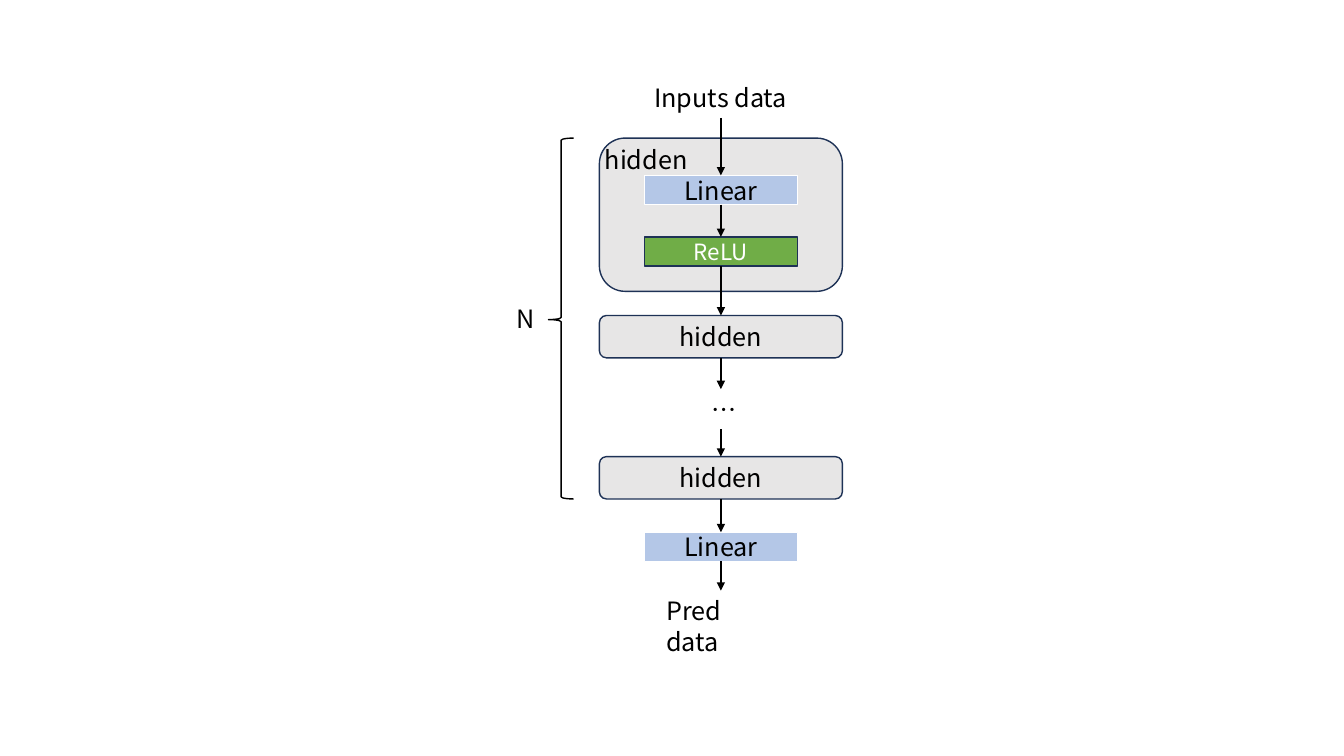
from lxml import etree
from pptx import Presentation
from pptx.dml.color import RGBColor
from pptx.enum.shapes import MSO_CONNECTOR, MSO_SHAPE
from pptx.enum.text import MSO_ANCHOR, MSO_AUTO_SIZE, PP_ALIGN
from pptx.oxml.ns import qn
from pptx.util import Inches, Pt

RECT = MSO_SHAPE.RECTANGLE
ROUND = MSO_SHAPE.ROUNDED_RECTANGLE
BRACE = MSO_SHAPE.LEFT_BRACE
STRAIGHT = MSO_CONNECTOR.STRAIGHT
MIDDLE = MSO_ANCHOR.MIDDLE
CENTER = PP_ALIGN.CENTER
GROW = MSO_AUTO_SIZE.SHAPE_TO_FIT_TEXT

FONT = "Noto Sans CJK SC"
BLACK, WHITE, NAVY = "000000", "FFFFFF", "1E3256"
GRAY, BLUE, GREEN = "E7E6E6", "B4C7E7", "70AD47"
AXIS = 7.15  # every step of the flow is centred here
LABEL_H = 0.4

# kind: preset, width, height, fill, line, text size, text colour
KINDS = {
    "hidden": (ROUND, 2.41, 0.42, GRAY, NAVY, 18, BLACK),
    "linear": (RECT, 1.52, 0.29, BLUE, WHITE, 18, BLACK),
    "relu": (RECT, 1.52, 0.29, GREEN, NAVY, 16, WHITE),
}
# Flow from top to bottom: text, top, then kind of box or width of label, wrap
FLOW = [
    ("Inputs data", 0.77, 1.52, True),
    ("Linear", 1.74, "linear", True),
    ("ReLU", 2.35, "relu", True),
    ("hidden", 3.13, "hidden", True),
    ("…", 3.86, 0.38, False),
    ("hidden", 4.53, "hidden", True),
    ("Linear", 5.28, "linear", True),
    ("Pred data", 5.86, 1.28, True),
]
PANEL = (AXIS - 2.41 / 2, 1.37, 2.41, 1.52)
SPAN = (5.44, 1.37, 0.25, 3.58)


def color(code):
    return RGBColor.from_string(code)


def write(shape, text, size=18, ink=BLACK):
    para = shape.text_frame.paragraphs[0]
    para.text = text
    para.font.name = FONT
    para.font.size = Pt(size)
    para.font.color.rgb = color(ink)
    return para


def draw(shapes, preset, place, fill, line):
    shape = shapes.add_shape(preset, *map(Inches, place))
    shape.shadow.inherit = False
    if fill:
        shape.fill.solid()
        shape.fill.fore_color.rgb = color(fill)
    else:
        shape.fill.background()
    shape.line.color.rgb = color(line)
    shape.line.width = Pt(1)
    return shape


def label(shapes, text, left, top, width, wrap=True):
    box = shapes.add_textbox(*map(Inches, (left, top, width, LABEL_H)))
    box.text_frame.word_wrap = wrap
    box.text_frame.auto_size = GROW
    write(box, text)
    return box


def block(shapes, text, top, kind):
    """Draw one filled box of the flow with centred text."""
    preset, width, height, fill, line, size, ink = KINDS[kind]
    place = (AXIS - width / 2, top, width, height)
    shape = draw(shapes, preset, place, fill, line)
    shape.text_frame.vertical_anchor = MIDDLE
    write(shape, text, size, ink).alignment = CENTER
    return shape


def arrow(shapes, start, end):
    """Join the bottom of one step to the top of the next."""
    line = shapes.add_connector(STRAIGHT, 0, 0, 0, 0)
    line.begin_connect(start, 2)
    line.end_connect(end, 0)
    line.line.color.rgb = color(BLACK)
    line.line.width = Pt(1)
    etree.SubElement(line.line._get_or_add_ln(), qn("a:tailEnd"), type="triangle")
    etree.SubElement(line._element.spPr, qn("a:effectLst"))


def main():
    deck = Presentation()
    deck.slide_width, deck.slide_height = Inches(13.33), Inches(7.5)
    shapes = deck.slides.add_slide(deck.slide_layouts[6]).shapes

    draw(shapes, ROUND, PANEL, GRAY, NAVY)
    label(shapes, "hidden", 5.9, 1.38, 1.33)
    brace = draw(shapes, BRACE, SPAN, None, BLACK)
    brace.adjustments[0] = 0.083
    brace.adjustments[1] = 0.503
    label(shapes, "N", 5.02, 2.96, 0.39, False)

    steps = []
    for text, top, form, wrap in FLOW:
        if form in KINDS:
            steps.append(block(shapes, text, top, form))
        else:
            steps.append(label(shapes, text, AXIS - form / 2, top, form, wrap))
    for start, end in zip(steps, steps[1:]):
        arrow(shapes, start, end)

    deck.save("out.pptx")


if __name__ == "__main__":
    main()
